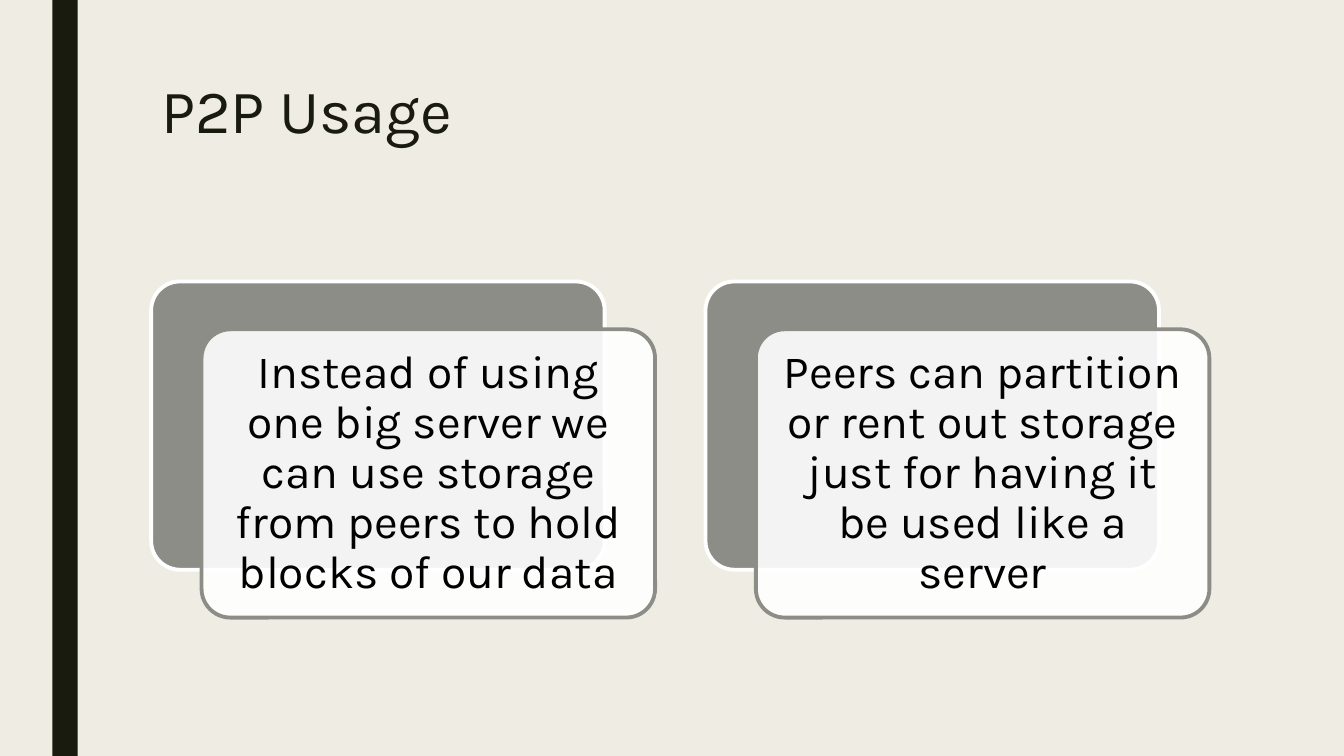
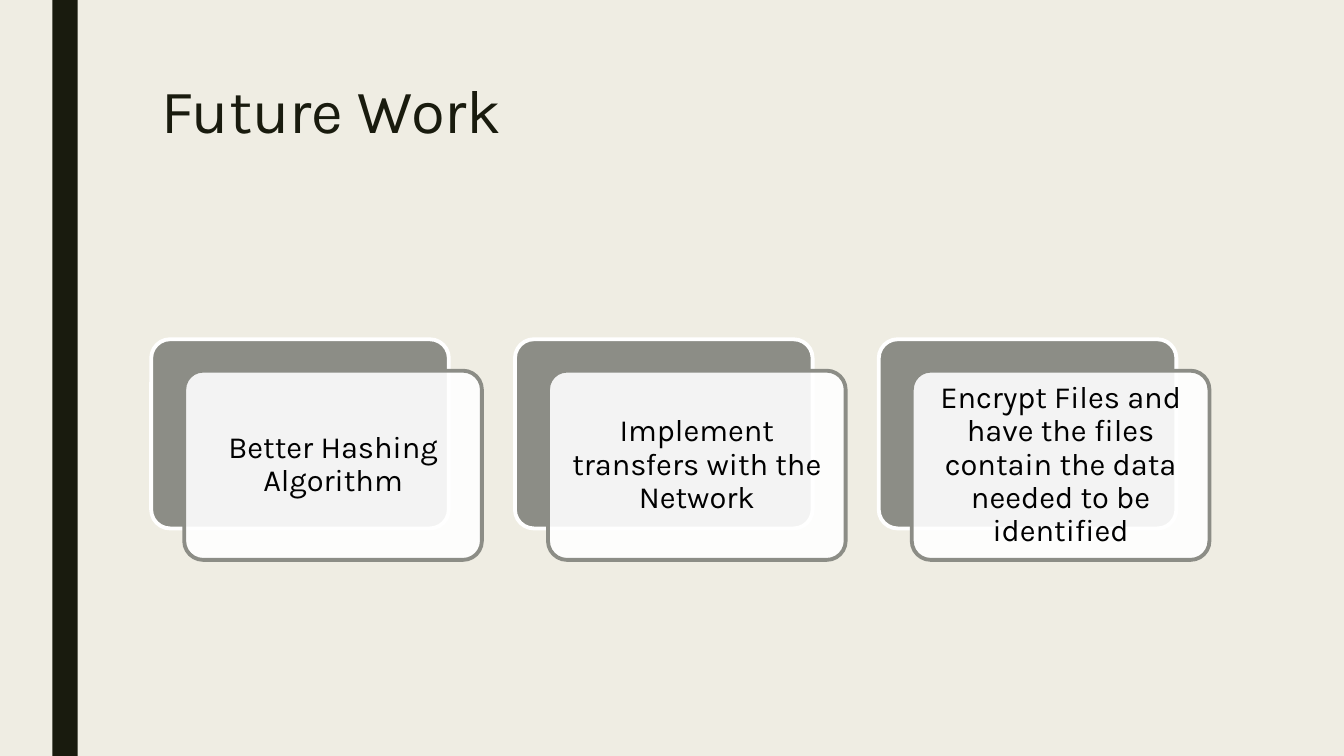
import pptx
import pptx.dml.color
import pptx.enum.shapes
import pptx.enum.text
import pptx.oxml
import pptx.oxml.ns
import pptx.util

FONT = "Karla"
INK, SAND, GRAY, WHITE, BLACK = "191B0E", "EFEDE3", "8C8D86", "FFFFFF", "000000"
LEFT, SPAN, MIDDLE = 3, 21, 8.92
WIDE, HIGH = 26.67, 15
RECT = pptx.enum.shapes.MSO_SHAPE.RECTANGLE
ROUND = pptx.enum.shapes.MSO_SHAPE.ROUNDED_RECTANGLE
ALIGN = pptx.enum.text.PP_ALIGN
ANCHOR = pptx.enum.text.MSO_ANCHOR

DECK = [
    ("P2P Usage", 33, [
        "Instead of using one big server we can use storage from peers to hold blocks of our data",
        "Peers can partition or rent out storage just for having it be used like a server",
    ]),
    ("Future Work", 22, [
        "Better Hashing Algorithm",
        "Implement transfers with the Network",
        "Encrypt Files and have the files contain the data needed to be identified",
    ]),
]


def grid(*cells):
    return [pptx.util.Inches(cell / 2) for cell in cells]


def paint(target, color):
    target.solid()
    target.fore_color.rgb = pptx.dml.color.RGBColor.from_string(color)


def fade(shape, percent):
    color = shape.fill._xPr.find(".//" + pptx.oxml.ns.qn("a:srgbClr"))
    space = pptx.oxml.ns.nsdecls("a")
    color.append(pptx.oxml.parse_xml(f'<a:alpha {space} val="{percent * 1000}"/>'))


def block(slide, kind, box, fill, line=None):
    shape = slide.shapes.add_shape(kind, *grid(*box))
    shape.shadow.inherit = False
    paint(shape.fill, fill)
    if line:
        paint(shape.line.fill, line)
        shape.line.width = pptx.util.Pt(2.75)
    else:
        shape.line.fill.background()
    if kind == ROUND:
        shape.adjustments[0] = 0.1
    return shape


def write(shape, text, size, color, align, anchor, space):
    frame = shape.text_frame
    frame.word_wrap = True
    frame.vertical_anchor = anchor
    para = frame.paragraphs[0]
    para.alignment = align
    para.line_spacing = space
    run = para.add_run()
    run.text = text
    run.font.name = FONT
    run.font.size = pptx.util.Pt(size)
    paint(run.font.fill, color)


def pad(shape, size):
    frame = shape.text_frame
    inset = pptx.util.Pt(0.3 * size)
    frame.margin_left = frame.margin_right = inset
    frame.margin_top = frame.margin_bottom = inset


def card(slide, left, top, unit, text, size):
    width, height = 9 * unit, 5.72 * unit
    block(slide, ROUND, (left, top, width, height), GRAY, WHITE)
    front = block(slide, ROUND, (left + unit, top + 0.95 * unit, width, height), WHITE, GRAY)
    fade(front, 90)
    pad(front, size)
    write(front, text, size, BLACK, ALIGN.CENTER, ANCHOR.MIDDLE, 0.9)


def cards(slide, texts, size):
    unit = SPAN / (11 * len(texts) - 1)
    top = MIDDLE - 6.67 * unit / 2
    for place, text in enumerate(texts):
        card(slide, LEFT + 11 * unit * place, top, unit, text, size)


def page(deck, title):
    slide = deck.slides.add_slide(deck.slide_layouts[6])
    block(slide, RECT, (1.04, 0, 0.5, HIGH), INK)
    box = slide.shapes.add_textbox(*grid(LEFT, 1.5, SPAN, 3.25))
    write(box, title, 44, INK, ALIGN.LEFT, ANCHOR.TOP, 0.89)
    return slide


def main():
    deck = pptx.Presentation()
    deck.slide_width, deck.slide_height = grid(WIDE, HIGH)
    paint(deck.slide_master.background.fill, SAND)
    for title, size, texts in DECK:
        cards(page(deck, title), texts, size)
    deck.save("out.pptx")


if __name__ == "__main__":
    main()
